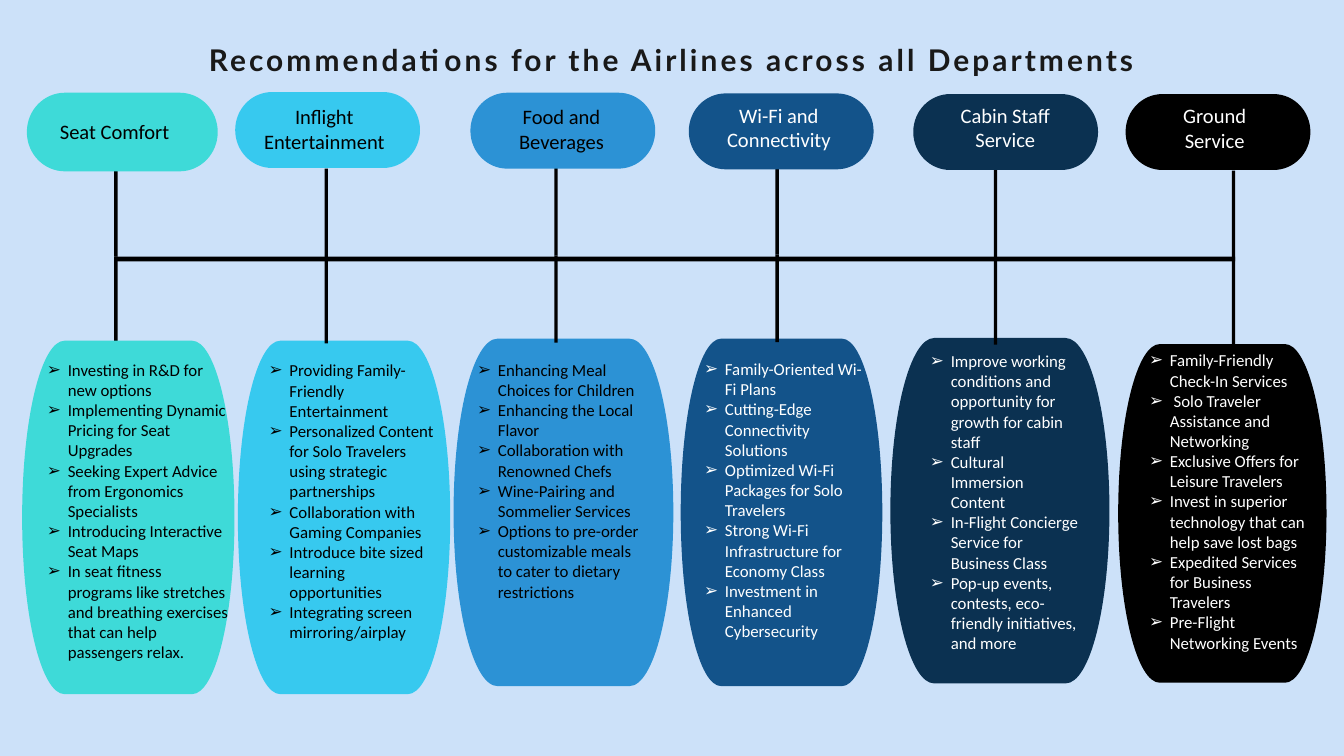
from lxml import etree
from pptx import Presentation
from pptx.dml.color import RGBColor
from pptx.enum.shapes import MSO_SHAPE
from pptx.enum.text import MSO_AUTO_SIZE, PP_ALIGN
from pptx.oxml.ns import qn
from pptx.util import Pt

PX = 9144  # EMU per px, 100 px to the inch
BAR = MSO_SHAPE.RECTANGLE
GROW = MSO_AUTO_SIZE.SHAPE_TO_FIT_TEXT
LEFT, CENTER = PP_ALIGN.LEFT, PP_ALIGN.CENTER

COLORS = {
    "background": "CCE1F9", "title": "191919", "black": "000000", "white": "FFFFFF",
    "turquoise": "3EDAD8", "sky": "37C9EF", "blue": "2C92D5",
    "navy": "13538A", "midnight": "0B3151",
}

# Capsule outline as parts of width and height; each three curve points are one arc
CAPSULE = [(0.8, 1), (0.2, 1),
           (0.09, 1), (0, 0.78), (0, 0.5), (0, 0.22), (0.09, 0), (0.2, 0),
           (0.8, 0),
           (0.91, 0), (1, 0.22), (1, 0.5), (1, 0.78), (0.91, 1), (0.8, 1)]
ARC_STARTS = (1, 4, 8, 11)

# Boxes are left, top, width, height; a stem is its left and top
DEPARTMENTS = [
    dict(name="Seat Comfort", fill="turquoise", ink="black",
         pill=(40, 138, 284, 117), label=(66, 172, 209, 47), stem=(170, 252),
         panel=(33, 507, 316, 526), notes=(60, 530, 292, 464),
         items=["Investing in R&D for new options",
                "Implementing Dynamic Pricing for Seat Upgrades",
                "Seeking Expert Advice from Ergonomics Specialists",
                "Introducing Interactive Seat Maps",
                "In seat fitness programs like stretches and breathing exercises "
                "that can help passengers relax."]),
    dict(name="Inflight Entertainment", fill="sky", ink="black",
         pill=(350, 137, 275, 113), label=(378, 150, 209, 84), stem=(483, 251),
         panel=(354, 507, 316, 526), notes=(390, 531, 270, 464),
         items=["Providing Family-Friendly Entertainment",
                "Personalized Content for Solo Travelers using strategic partnerships",
                "Collaboration with Gaming Companies",
                "Introduce bite sized learning opportunities",
                "Integrating screen mirroring/airplay"]),
    dict(name="Food and Beverages", fill="blue", ink="black",
         pill=(700, 138, 275, 113), label=(735, 150, 201, 84), stem=(825, 250),
         panel=(675, 504, 327, 517), notes=(700, 530, 269, 434),
         items=["Enhancing Meal Choices for Children",
                "Enhancing the Local Flavor",
                "Collaboration with Renowned Chefs",
                "Wine-Pairing and Sommelier Services",
                "Options to pre-order customizable meals to cater to dietary restrictions"]),
    dict(name="Wi-Fi and Connectivity", fill="navy", ink="white",
         pill=(1025, 139, 275, 113), label=(1053, 148, 212, 84), stem=(1154, 249),
         panel=(1013, 504, 300, 517), notes=(1038, 529, 258, 464),
         items=["Family-Oriented Wi-Fi Plans",
                "Cutting-Edge Connectivity Solutions",
                "Optimized Wi-Fi Packages for Solo Travelers",
                "Strong Wi-Fi Infrastructure for Economy Class",
                "Investment in Enhanced Cybersecurity"]),
    dict(name="Cabin Staff Service", fill="midnight", ink="white",
         pill=(1359, 140, 275, 113), label=(1393, 148, 206, 84), stem=(1479, 253),
         panel=(1325, 503, 326, 514), notes=(1374, 517, 242, 495),
         items=["Improve working conditions and opportunity for growth for cabin staff",
                "Cultural Immersion Content",
                "In-Flight Concierge Service for Business Class",
                "Pop-up events, contests, eco-friendly initiatives, and more"]),
    dict(name="Ground Service", fill="black", ink="white",
         pill=(1675, 140, 275, 113), label=(1705, 149, 205, 84), stem=(1833, 254),
         panel=(1664, 512, 310, 504), notes=(1700, 516, 268, 495),
         items=["Family-Friendly Check-In Services",
                " Solo Traveler Assistance and Networking",
                "Exclusive Offers for Leisure Travelers",
                "Invest in superior technology that can help save lost bags",
                "Expedited Services for Business Travelers",
                "Pre-Flight Networking Events"]),
]


def add_text(text, area, size, color, font="Calibri", align=LEFT, bold=False,
             bullet=None, inset=None, line_height=None, tracking=None):
    """Add a text box with one paragraph for each line of text."""
    box = page.shapes.add_textbox(*(value * PX for value in area))
    frame = box.text_frame
    frame.word_wrap = True
    frame.auto_size = GROW
    if inset is not None:
        frame.margin_left = frame.margin_right = inset * PX
        frame.margin_top = frame.margin_bottom = inset * PX
    for index, line in enumerate(text.split("\n")):
        para = frame.paragraphs[0] if index == 0 else frame.add_paragraph()
        para.alignment = align
        if line_height:
            para.line_spacing = Pt(line_height)
        if bullet:
            properties = para._p.get_or_add_pPr()
            properties.set("marL", str(31 * PX))
            properties.set("indent", str(-31 * PX))
            etree.SubElement(properties, qn("a:buFont")).set("typeface", font)
            etree.SubElement(properties, qn("a:buChar")).set("char", bullet)
        span = para.add_run()
        span.text = line
        span.font.name = font
        span.font.size = Pt(size)
        span.font.bold = bold
        span.font.color.rgb = RGBColor.from_string(COLORS[color])
        if tracking:
            span.font._element.set("spc", str(tracking))


def add_block(area, color, capsule=False):
    """Add a plain filled bar, or a capsule with curved sides."""
    left, top, width, height = (value * PX for value in area)
    if capsule:
        points = [(round(left + x * width), round(top + y * height)) for x, y in CAPSULE]
        outline = page.shapes.build_freeform(*points[0])
        outline.add_line_segments(points[1:], close=True)
        block = outline.convert_to_shape()
        segments = list(block._element.iter(qn("a:lnTo")))
        for start in ARC_STARTS:
            first, second, third = segments[start:start + 3]
            first.tag = qn("a:cubicBezTo")
            for segment in (second, third):
                first.append(segment[0])
                segment.getparent().remove(segment)
    else:
        block = page.shapes.add_shape(BAR, left, top, width, height)
    block.shadow.inherit = False
    block.fill.solid()
    block.fill.fore_color.rgb = RGBColor.from_string(COLORS[color])
    block.line.fill.background()


deck = Presentation()
deck.slide_width, deck.slide_height = 2000 * PX, 1125 * PX
page = deck.slides.add_slide(deck.slide_layouts[6])
page.background.fill.solid()
page.background.fill.fore_color.rgb = RGBColor.from_string(COLORS["background"])

# Panels that the stems run into
for department in DEPARTMENTS[1:]:
    add_block(department["panel"], department["fill"], capsule=True)

# Crossbar, with a stem below and above it for each department
add_block((171, 382, 1667, 7), "black")
for offset in (130, 0):
    for department in DEPARTMENTS:
        left, top = department["stem"]
        add_block((left, top + offset, 5, 130), "black")

# Pills, and the first panel, which covers the end of its stem
for department in DEPARTMENTS:
    add_block(department["pill"], department["fill"], capsule=True)
add_block(DEPARTMENTS[0]["panel"], DEPARTMENTS[0]["fill"], capsule=True)

# Title
add_text("Recommendations for the Airlines across all Departments",
         (-31, 22, 2061, 83), 32, "title", font="Lato", align=CENTER, bold=True,
         inset=0, line_height=67.7, tracking=330)

# Department names and recommendations
for department in DEPARTMENTS:
    add_text(department["name"], department["label"], 22, department["ink"], align=CENTER)
    add_text("\n".join(department["items"]), department["notes"], 18,
             department["ink"], bullet="➢")

deck.save("out.pptx")
